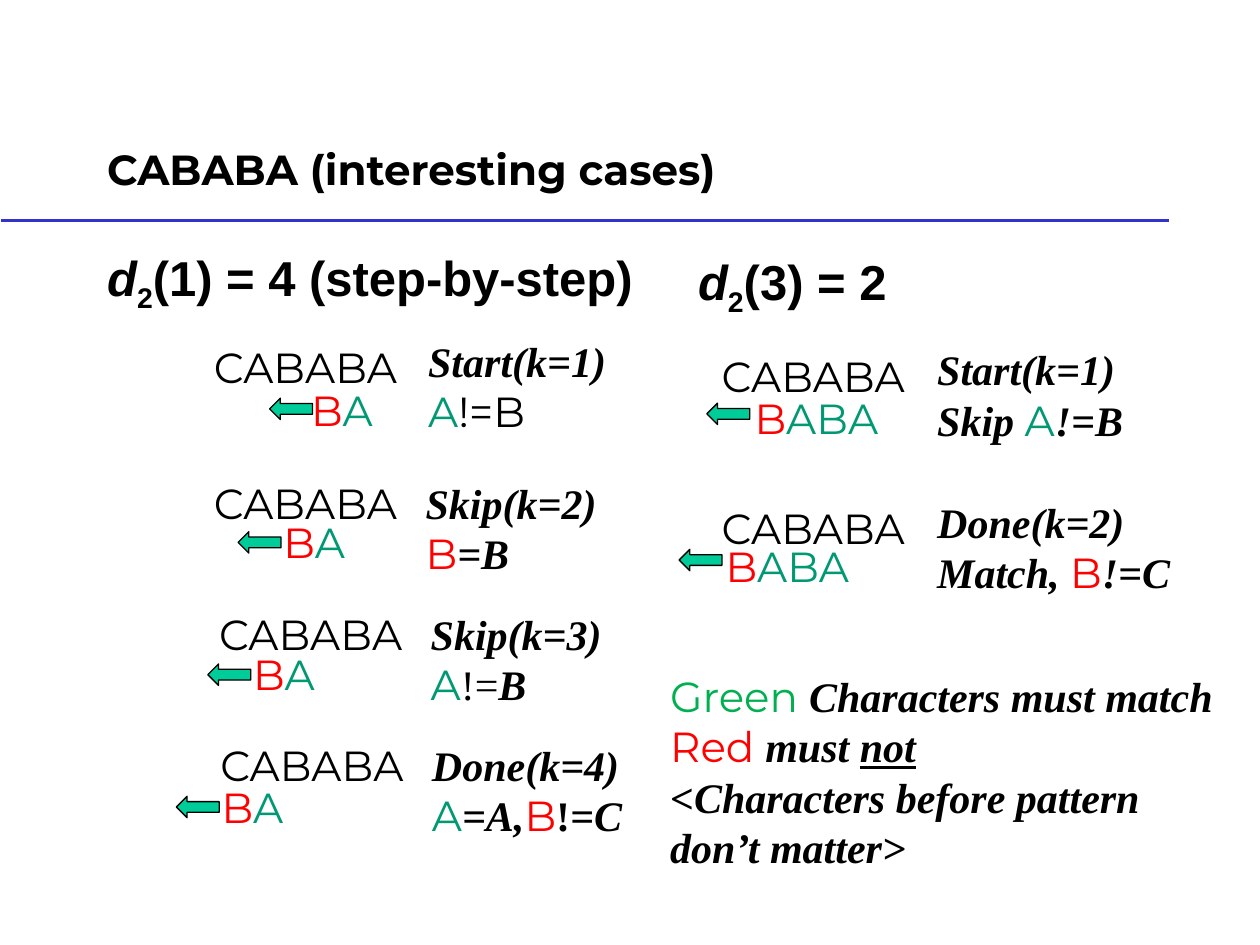
from dataclasses import dataclass

from lxml import etree
from pptx import Presentation
from pptx import util as u
from pptx.dml.color import RGBColor
from pptx.enum import shapes, text
from pptx.oxml.ns import qn

BLACK = RGBColor(0x00, 0x00, 0x00)
RED = RGBColor(0xFF, 0x00, 0x00)
GREEN = RGBColor(0x00, 0x99, 0x73)
BRIGHT_GREEN = RGBColor(0x00, 0xB0, 0x50)
ARROW_GREEN = RGBColor(0x00, 0xCC, 0x99)
RULE_BLUE = RGBColor(0x33, 0x33, 0xCC)

# Grid of 100 columns by 75 rows
PAGE_WIDTH, PAGE_HEIGHT = u.Inches(10), u.Inches(7.5)
COLUMN, ROW = PAGE_WIDTH / 100, PAGE_HEIGHT / 75
TEXT_SIZE = u.Pt(24)
LINE_HEIGHT, NOTE_HEIGHT = 5, 9.1
WORD, WORD_WIDTH = "CABABA", 17.6


@dataclass(frozen=True)
class Style:
    font: str = "Montserrat"
    color: RGBColor = BLACK
    bold: bool = False
    italic: bool = False
    underline: bool = False


PLAIN = Style()
MATCH = Style(color=GREEN)
DIFFER = Style(color=RED)
LEGEND = Style(color=BRIGHT_GREEN)
SERIF = Style("Times New Roman")
STRONG = Style("Times New Roman", bold=True)
NOTE = Style("Times New Roman", bold=True, italic=True)
UNDERLINED = Style("Times New Roman", bold=True, italic=True, underline=True)

Line = list[tuple[str, Style]]
Point = tuple[float, float]


@dataclass(frozen=True)
class Step:
    """One comparison; every position is (column, row)."""
    word_at: Point
    pattern_at: Point
    arrow_at: Point
    note_at: Point
    note_width: float
    note: list[Line]


# Suffix -> (its box width, the steps that shift it left)
CASES: dict[str, tuple[float, list[Step]]] = {
    "BA": (7.1, [
        Step((16, 26.6), (23.7, 30), (21.4, 31.6), (33, 26.1), 17,
             [[("Start(k=1) ", NOTE), ("A", MATCH), ("!=B", PLAIN)]]),
        Step((16, 37.4), (21.5, 40.5), (18.9, 42.2), (32.8, 37.4), 16.1,
             [[("Skip(k=2)", NOTE)], [("B", DIFFER), ("=B", NOTE)]]),
        Step((16.4, 47.8), (19.1, 51), (16.5, 52.7), (33.2, 47.8), 16.1,
             [[("Skip(k=3)", NOTE)],
              [("A", MATCH), ("!=", SERIF), ("B", NOTE)]]),
        Step((16.5, 58.2), (16.6, 61.5), (14, 63.2), (33.3, 58.2), 18.9,
             [[("Done(k=4)", NOTE)],
              [("A", MATCH), ("=A,", NOTE), ("B", DIFFER), ("!", STRONG), ("=C", NOTE)]]),
    ]),
    "BABA": (13.2, [
        Step((56.3, 27.3), (58.9, 30.7), (56.1, 32), (73.4, 26.8), 17,
             [[("Start(k=1)", NOTE)],
              [("Skip ", NOTE), ("A", MATCH), ("!=B", NOTE)]]),
        Step((56.3, 39.4), (56.6, 42.4), (53.9, 43.6), (73.4, 38.9), 22.7,
             [[("Done(k=2)", NOTE)],
              [("Match, ", NOTE), ("B", DIFFER), ("!=C", NOTE)]]),
    ]),
}

KEY: list[Line] = [
    [("Green ", LEGEND), ("Characters must match", NOTE)],
    [("Red ", DIFFER), ("must ", NOTE), ("not", UNDERLINED)],
    [("<Characters before pattern don’t matter>", NOTE)],
]


def place(shape, at: Point, width: float, height: float) -> None:
    shape.left, shape.top = round(at[0] * COLUMN), round(at[1] * ROW)
    shape.width, shape.height = round(width * COLUMN), round(height * ROW)


def add_text(page, at: Point, width: float, height: float, lines: list[Line]) -> None:
    box = page.shapes.add_textbox(0, 0, 0, 0)
    place(box, at, width, height)
    frame = box.text_frame
    frame.word_wrap = True
    for index, line in enumerate(lines):
        para = frame.add_paragraph() if index else frame.paragraphs[0]
        para.font.size = TEXT_SIZE
        for words, style in line:
            span = para.add_run()
            span.text = words
            span.font.size = TEXT_SIZE
            span.font.name = style.font
            span.font.color.rgb = style.color
            span.font.bold = style.bold
            span.font.italic = style.italic
            span.font.underline = style.underline


def add_arrow(page, at: Point) -> None:
    arrow = page.shapes.add_shape(shapes.MSO_SHAPE.LEFT_ARROW, 0, 0, 0, 0)
    place(arrow, at, 3.4, 1.7)
    arrow.shadow.inherit = False
    arrow.fill.solid()
    arrow.fill.fore_color.rgb = ARROW_GREEN
    arrow.line.color.rgb = BLACK
    arrow.line.width = u.Pt(0.75)


def add_step(page, suffix: str, suffix_width: float, step: Step) -> None:
    add_text(page, step.word_at, WORD_WIDTH, LINE_HEIGHT, [[(WORD, PLAIN)]])
    add_text(page, step.pattern_at, suffix_width, LINE_HEIGHT,
             [[(suffix[0], DIFFER), (suffix[1:], MATCH)]])
    add_arrow(page, step.arrow_at)
    add_text(page, step.note_at, step.note_width, NOTE_HEIGHT, step.note)


def fill_title(title, words: str) -> None:
    place(title, (7.5, 6.7), 85, 9.2)
    frame = title.text_frame
    frame.auto_size = text.MSO_AUTO_SIZE.NONE
    frame.vertical_anchor = text.MSO_ANCHOR.BOTTOM
    para = frame.paragraphs[0]
    para.alignment = text.PP_ALIGN.LEFT
    span = para.add_run()
    span.text = words
    span.font.name, span.font.size = "Montserrat", TEXT_SIZE
    span.font.bold, span.font.color.rgb = True, BLACK


def fill_heading(body, at: Point, width: float, ending: str) -> None:
    place(body, at, width, LINE_HEIGHT)
    body.text_frame.auto_size = text.MSO_AUTO_SIZE.NONE
    para = body.text_frame.paragraphs[0]
    para.line_spacing = 0.9
    # Hanging indent, relative space before, no bullet
    properties = para._p.get_or_add_pPr()
    properties.set("marL", str(u.Inches(0.38)))
    properties.set("indent", str(-u.Inches(0.38)))
    before = etree.SubElement(properties, qn("a:spcBef"))
    etree.SubElement(before, qn("a:spcPct")).set("val", "75000")
    etree.SubElement(properties, qn("a:buNone"))
    for words, italic, baseline in (("d", True, 0), ("2", False, -25000), (ending, False, 0)):
        span = para.add_run()
        span.text = words
        span.font.name, span.font.size = "Arial", u.Pt(28)
        span.font.bold, span.font.italic = True, italic
        span.font.color.rgb = BLACK
        if baseline:
            span.font._element.set("baseline", str(baseline))


def add_rule(page) -> None:
    y = round(17.5 * ROW)
    rule = page.shapes.add_connector(
        shapes.MSO_CONNECTOR.STRAIGHT, round(0.1 * COLUMN), y, round(92.8 * COLUMN), y)
    rule.line.color.rgb = RULE_BLUE
    rule.line.width = u.Pt(1.5)
    etree.SubElement(rule._element.spPr, qn("a:effectLst"))


def main() -> None:
    deck = Presentation()
    deck.slide_width, deck.slide_height = PAGE_WIDTH, PAGE_HEIGHT
    page = deck.slides.add_slide(deck.slide_layouts.get_by_name("Two Content"))

    # Title, rule and column headings
    add_rule(page)
    title, left, right = list(page.placeholders)[:3]
    fill_title(title, "CABABA (interesting cases)")
    fill_heading(left, (7.5, 19.2), 44.7, "(1) = 4 (step-by-step)")
    fill_heading(right, (54.4, 19.5), 41.7, "(3) = 2")

    # Comparisons
    for suffix, (width, steps) in CASES.items():
        for step in steps:
            add_step(page, suffix, width, step)

    # Colour key
    add_text(page, (52.2, 52.7), 46.1, 17.2, KEY)
    deck.save("out.pptx")


if __name__ == "__main__":
    main()
